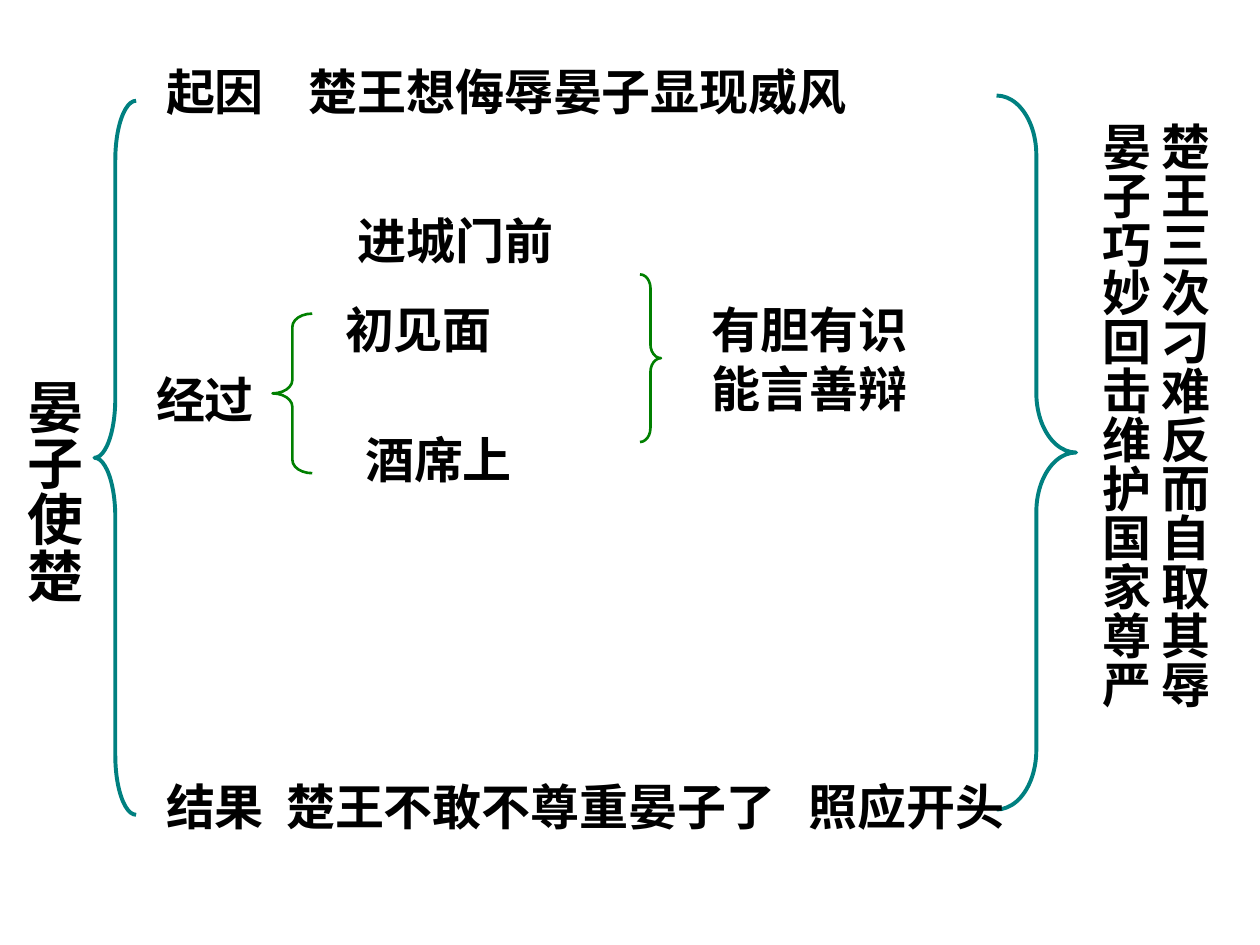
from dataclasses import dataclass
from typing import Any

from lxml.etree import SubElement
from pptx import Presentation
from pptx.dml.color import RGBColor
from pptx.enum.shapes import MSO_SHAPE
from pptx.enum.text import MSO_ANCHOR, MSO_AUTO_SIZE, PP_ALIGN
from pptx.oxml.ns import qn
from pptx.util import Pt


@dataclass(frozen=True)
class Theme:
    ink: RGBColor = RGBColor(0, 0, 0)
    outer: RGBColor = RGBColor(0, 0x80, 0x80)
    inner: RGBColor = RGBColor(0, 0x80, 0)
    topic_size: int = 32
    body_size: int = 28
    serif: str = "Times New Roman"
    sans: str = "Arial"
    chinese: str = "Noto Sans CJK SC"


@dataclass(frozen=True)
class Box:
    left: float
    top: float
    width: float
    height: float

    def lengths(self) -> tuple[Pt, ...]:
        return tuple(Pt(v) for v in (self.left, self.top, self.width, self.height))


@dataclass(frozen=True)
class Label:
    lines: tuple[str, ...]
    box: Box
    font: str
    wrap: bool = False
    vertical: bool = False
    align: PP_ALIGN = PP_ALIGN.LEFT


@dataclass(frozen=True)
class Brace:
    preset: MSO_SHAPE
    box: Box
    color: RGBColor
    weight: float


THEME = Theme()

TOPIC = Label(("晏子使楚",), Box(0.5, 209.7, 52.6, 150.5), THEME.serif, vertical=True)

LABELS = (
    Label(("起因    楚王想侮辱晏子显现威风",), Box(87.8, 31.7, 442, 41), THEME.serif, wrap=True),
    Label(("经过",), Box(82.1, 207.4, 72, 41), THEME.sans),
    Label(("结果  楚王不敢不尊重晏子了   照应开头",), Box(87.8, 439.9, 550.8, 41), THEME.serif),
    Label(("进城门前",), Box(197.3, 116.6, 151.2, 41), THEME.serif),
    Label(("初见面",), Box(190.1, 167.8, 212.4, 41), THEME.chinese, wrap=True),
    Label(("酒席上",), Box(201.6, 241.9, 100, 41), THEME.sans),
    Label(("有胆有识", "能言善辩"), Box(399.6, 167.8, 175.7, 74.9), THEME.sans, wrap=True),
    Label(("楚王三次刁难反而自取其辱", "晏子巧妙回击维护国家尊严"),
          Box(615.6, 62.6, 81.4, 419.8), THEME.chinese, wrap=True, vertical=True,
          align=PP_ALIGN.CENTER),
)

BRACES = (
    Brace(MSO_SHAPE.LEFT_BRACE, Box(54, 57.6, 23.8, 408), THEME.outer, 2.25),
    Brace(MSO_SHAPE.RIGHT_BRACE, Box(569.5, 54.6, 45.4, 408), THEME.outer, 2.25),
    Brace(MSO_SHAPE.LEFT_BRACE, Box(155.7, 179.2, 22.7, 91.2), THEME.inner, 1.5),
    Brace(MSO_SHAPE.RIGHT_BRACE, Box(365.7, 156.8, 12, 95.8), THEME.inner, 1.5),
)


def apply(target: Any, formats: dict[str, Any]) -> None:
    for name, value in formats.items():
        setattr(target, name, value)


def write_label(holder: Any, label: Label, size: int) -> None:
    frame = holder.text_frame
    along, across = (3.6, 7.2) if label.vertical else (7.2, 3.6)
    apply(frame, {
        "text": "\n".join(label.lines),
        "word_wrap": label.wrap,
        "auto_size": MSO_AUTO_SIZE.SHAPE_TO_FIT_TEXT,
        "vertical_anchor": MSO_ANCHOR.TOP,
        "margin_left": Pt(along),
        "margin_right": Pt(along),
        "margin_top": Pt(across),
        "margin_bottom": Pt(across),
    })
    if label.vertical:
        frame._txBody.bodyPr.set("vert", "eaVert")
    for paragraph in frame.paragraphs:
        paragraph.alignment = label.align
        for run in paragraph.runs:
            apply(run.font, {"name": label.font, "size": Pt(size), "bold": True})
            run.font.color.rgb = THEME.ink
            SubElement(run.font._element, qn("a:ea"), typeface=THEME.chinese)


def draw_brace(slide: Any, brace: Brace) -> None:
    shape = slide.shapes.add_shape(brace.preset, *brace.box.lengths())
    shape.adjustments[0] = brace.box.height / brace.box.width / 12
    shape.shadow.inherit = False
    shape.fill.background()
    shape.line.color.rgb = brace.color
    shape.line.width = Pt(brace.weight)


def main() -> None:
    deck = Presentation()
    apply(deck, {"slide_width": Pt(720), "slide_height": Pt(540)})
    slide = deck.slides.add_slide(deck.slide_layouts[5])
    topic = slide.shapes.title
    apply(topic, dict(zip(("left", "top", "width", "height"), TOPIC.box.lengths())))
    write_label(topic, TOPIC, THEME.topic_size)
    for brace in BRACES:
        draw_brace(slide, brace)
    for label in LABELS:
        write_label(slide.shapes.add_textbox(*label.box.lengths()), label, THEME.body_size)
    deck.save("out.pptx")


if __name__ == "__main__":
    main()
